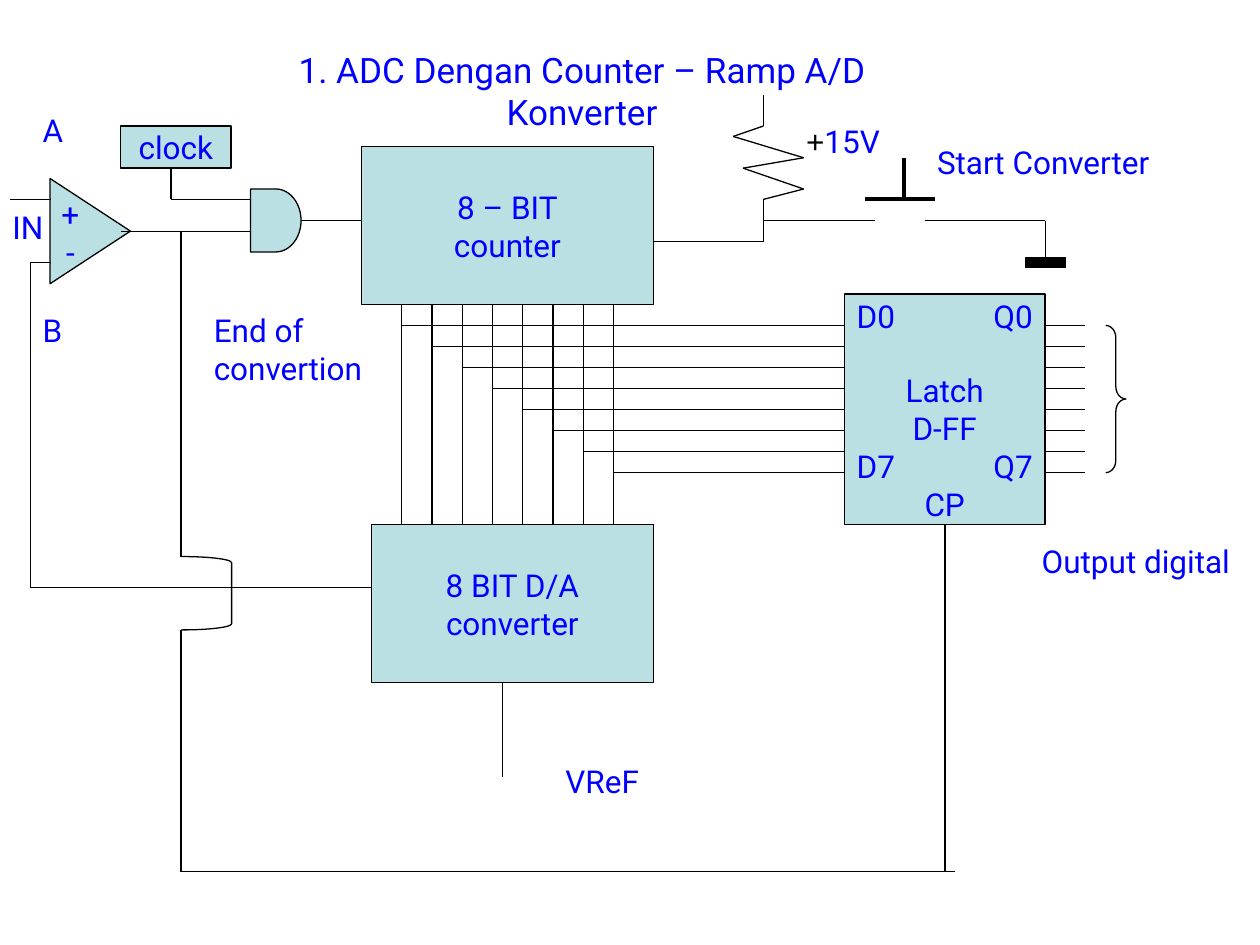
from lxml.etree import SubElement
from pptx import Presentation
from pptx.dml.color import RGBColor
from pptx.enum.shapes import MSO_CONNECTOR, MSO_SHAPE as SHAPE
from pptx.enum.text import MSO_ANCHOR as ANCHOR, MSO_AUTO_SIZE as AUTO_SIZE, PP_ALIGN as ALIGN
from pptx.oxml.ns import qn
from pptx.util import Cm, Pt

COLORS = {"block": "BBE0E3", "line": "000000", "text": "0000FF"}

presentation = Presentation()
presentation.slide_width, presentation.slide_height = Cm(25.4), Cm(19.05)
slide = presentation.slides.add_slide(presentation.slide_layouts[6])


def write_text(shape, text, size=18, align=ALIGN.LEFT, anchor=ANCHOR.TOP,
               wrap=True, lead="", tab=None, gap_before=None):
    """Write one paragraph per line; lead is a black Arial prefix, tab a right tab
    in cm for lines that hold one, gap_before maps a line number to points."""
    frame = shape.text_frame
    frame.word_wrap, frame.vertical_anchor = wrap, anchor
    for number, line in enumerate(text.split("\n")):
        paragraph = frame.add_paragraph() if number else frame.paragraphs[0]
        paragraph.alignment = align
        if tab and "\t" in line:
            paragraph.alignment = ALIGN.LEFT
            tabs = SubElement(paragraph._p.get_or_add_pPr(), qn("a:tabLst"))
            SubElement(tabs, qn("a:tab"), pos=str(Cm(tab)), algn="r")
        if gap_before and number in gap_before:
            paragraph.space_before = Pt(gap_before[number])
        for part, font_name, color in ((lead, "Arial", "line"), (line, "Roboto", "text")):
            if part:
                run = paragraph.add_run()
                run.text = part
                run.font.name, run.font.size = font_name, Pt(size)
                run.font.color.rgb = RGBColor.from_string(COLORS[color])


def add_wire(*points, width=0.75):
    """Join successive (x, y) points, in cm, with straight connectors."""
    for start, end in zip(points, points[1:]):
        wire = slide.shapes.add_connector(
            MSO_CONNECTOR.STRAIGHT, *(Cm(value) for value in start + end))
        wire.line.width = Pt(width)
        wire.line.color.rgb = RGBColor.from_string(COLORS["line"])
        SubElement(wire._element.spPr, qn("a:effectLst"))


# Blocks, gates and outlines: preset, left, top, width, height, text
symbols = {}
for name, preset, left, top, width, height, text in (
    ("counter", SHAPE.RECTANGLE, 7.29, 2.96, 5.88, 3.18, "8 – BIT\ncounter"),
    ("converter", SHAPE.RECTANGLE, 7.49, 10.58, 5.68, 3.18, "8 BIT D/A\nconverter"),
    ("latch", SHAPE.RECTANGLE, 17.02, 5.93, 4.05, 4.65, ""),
    ("clock", SHAPE.RECTANGLE, 2.43, 2.54, 2.23, 0.85, "clock"),
    ("gate", SHAPE.FLOWCHART_DELAY, 5.05, 3.81, 1.02, 1.27, ""),
    ("comparator", SHAPE.FLOWCHART_EXTRACT, 0.76, 3.85, 2.12, 1.62, ""),
    ("hop", SHAPE.RIGHT_BRACKET, 3.65, 11.22, 1.02, 1.48, ""),
    ("brace", SHAPE.RIGHT_BRACE, 22.29, 6.56, 0.41, 2.97, ""),
):
    shape = symbols[name] = slide.shapes.add_shape(
        preset, Cm(left), Cm(top), Cm(width), Cm(height))
    shape.shadow.inherit = False
    shape.line.width = Pt(0.75)
    shape.line.color.rgb = RGBColor.from_string(COLORS["line"])
    if name in ("hop", "brace"):
        shape.fill.background()
    else:
        shape.fill.solid()
        shape.fill.fore_color.rgb = RGBColor.from_string(COLORS["block"])
    if text:
        write_text(shape, text, align=ALIGN.CENTER, anchor=ANCHOR.MIDDLE, wrap=False)
symbols["comparator"].rotation = 90
symbols["hop"].adjustments[0] = 0.12
symbols["brace"].adjustments[0] = 0.61
symbols["brace"].adjustments[1] = 0.5
write_text(symbols["latch"], "D0\tQ0\nLatch\nD-FF\nD7\tQ7\nCP", align=ALIGN.CENTER,
           anchor=ANCHOR.MIDDLE, tab=3.62, gap_before={1: 21})

# Eight data bits: counter to converter, tap to latch, latch output
for bit in range(8):
    column = 8.1 + 0.61 * bit
    row = 6.56 + 2.97 / 7 * bit
    add_wire((column, 6.14), (column, 10.58))
    add_wire((column, row), (17.02, row))
    add_wire((21.07, row), (21.88, row))

# Comparator, clock and gate
add_wire((0.2, 4.02), (1.02, 4.02))
add_wire((1.02, 5.29), (0.61, 5.29), (0.61, 11.85), (7.49, 11.85))
add_wire((2.43, 4.66), (5.05, 4.66))
add_wire((3.45, 3.39), (3.45, 4.02), (5.05, 4.02))
add_wire((6.07, 4.45), (7.29, 4.45))

# End-of-conversion path and reference voltage
add_wire((3.65, 4.66), (3.65, 11.22))
add_wire((3.65, 12.7), (3.65, 17.57), (19.26, 17.57))
add_wire((19.05, 10.58), (19.05, 17.57))
add_wire((10.13, 13.76), (10.13, 15.66))

# Pull-up resistor, push button and ground
add_wire((13.17, 4.87), (15.39, 4.87), (15.39, 4.02), (16.2, 3.81), (14.98, 3.39),
         (16.2, 3.18), (14.78, 2.75), (15.39, 2.54), (15.39, 1.91))
add_wire((15.39, 4.45), (17.63, 4.45))
add_wire((18.64, 4.45), (21.07, 4.45), (21.07, 5.29))
add_wire((20.67, 5.29), (21.48, 5.29), width=6)
add_wire((17.43, 4.02), (18.84, 4.02), width=2.25)
add_wire((18.23, 4.02), (18.23, 3.18), width=2.25)

# Labels: text, left, top, width, height, format
for text, left, top, width, height, text_format in (
    ("1. ADC Dengan Counter – Ramp A/D Konverter", 4.65, 0.85, 14.17, 1.96,
     {"size": 20, "align": ALIGN.CENTER}),
    ("15V", 16, 2.33, 2.03, 1.02, {"lead": "+"}),
    ("Start Converter", 18.64, 2.75, 5.05, 1.02, {}),
    ("Output digital", 20.75, 10.8, 4.9, 1.02, {}),
    ("VReF", 11.15, 15.24, 3.86, 1.02, {}),
    ("End of convertion", 4.06, 6.14, 3.86, 1.78, {}),
    ("A", 0.61, 2.11, 1.42, 1.02, {}),
    ("B", 0.61, 6.14, 1.63, 1.02, {}),
    ("IN", 0, 4.06, 1.42, 1.02, {}),
    ("+\n-", 0.91, 3.81, 1.02, 1.78, {"align": ALIGN.CENTER}),
):
    label = slide.shapes.add_textbox(Cm(left), Cm(top), Cm(width), Cm(height))
    write_text(label, text, **text_format)
    label.text_frame.auto_size = AUTO_SIZE.SHAPE_TO_FIT_TEXT

presentation.save("out.pptx")
